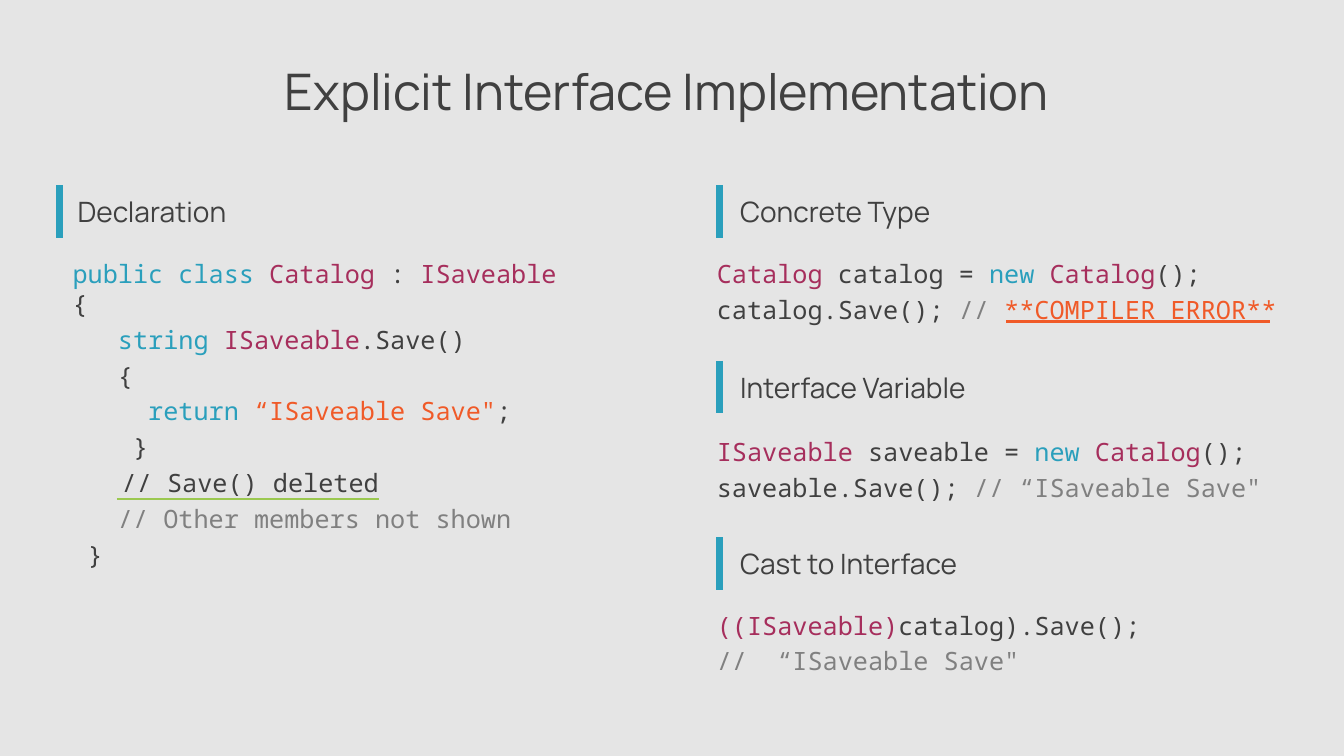
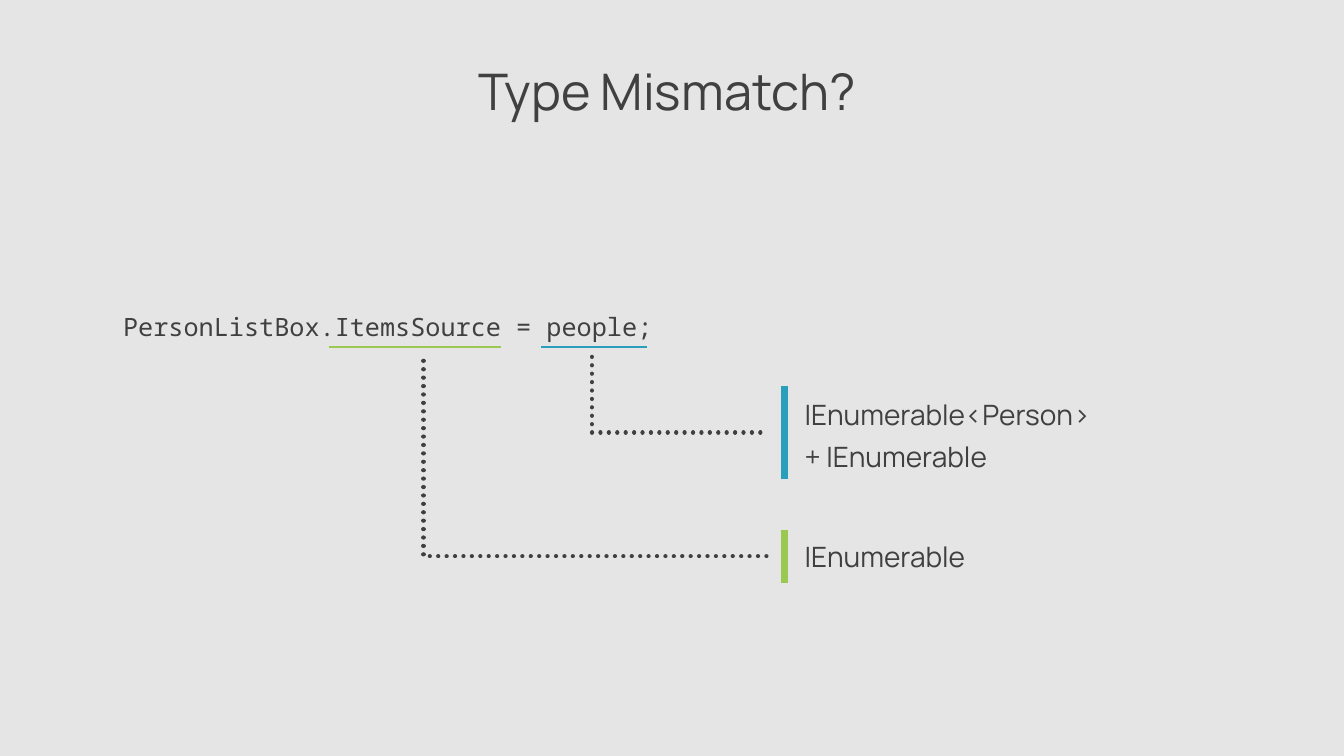
from pptx import Presentation
from pptx.dml.color import RGBColor
from pptx.enum.dml import MSO_LINE as Dash
from pptx.enum.shapes import MSO_CONNECTOR as Link
from pptx.enum.text import MSO_ANCHOR as Anchor, PP_ALIGN as Align
from pptx.oxml.ns import qn
from pptx.util import Inches, Pt
from lxml.etree import SubElement

hue = RGBColor.from_string
DARK, GRAY, BLUE, GREEN = "404040", "808080", "2A9FBC", "9BC850"
PLUM, ORANGE, PAPER = "A62E5C", "F05A28", "E5E5E5"
# Font, size, space before, line spacing
TITLE = ("Manrope", 36, 0, 0.85)
HEAD = ("Manrope", 20, 6, 1.0)
CODE = ("Noto Sans Mono", 18, 4, 1.0)
CHAR = 0.15  # width of one code character

deck = Presentation()
deck.slide_width, deck.slide_height = Inches(13.33), Inches(7.5)
back = deck.slide_master.background.fill
back.solid()
back.fore_color.rgb = hue(PAPER)


def write(slide, box, style, rows, left=0, anchor=Anchor.TOP):
    """Each row is an indent in characters, then (text, colour) runs."""
    name, size, gap, lead = style
    frame = slide.shapes.add_textbox(*map(Inches, box)).text_frame
    frame.word_wrap = True
    frame.vertical_anchor = anchor
    frame.margin_left = Inches(left)
    frame.margin_top = frame.margin_right = frame.margin_bottom = 0
    for i, (dent, *runs) in enumerate(rows):
        para = frame.paragraphs[0] if i == 0 else frame.add_paragraph()
        para.font.name, para.font.size = name, Pt(size)
        para.space_before, para.line_spacing = Pt(gap), lead
        if dent:
            para._p.get_or_add_pPr().set("marL", str(Inches(dent * CHAR)))
        for words, tint in runs:
            run = para.add_run()
            run.text = words
            run.font.color.rgb = hue(tint)
    return frame


def rule(slide, ends, tint, width, kind=Link.STRAIGHT):
    line = slide.shapes.add_connector(kind, *map(Inches, ends))
    line.line.color.rgb = hue(tint)
    line.line.width = Pt(width)
    SubElement(line._element.spPr, qn("a:effectLst"))
    return line


# Slides and titles
pages = []
for words in ("Explicit Interface Implementation", "Type Mismatch?"):
    page = deck.slides.add_slide(deck.slide_layouts[6])
    frame = write(page, (0.77, 0.64, 11.79, 0.48), TITLE, [(0, (words, DARK))])
    frame.margin_top, frame.margin_right = Inches(0.05), Inches(0.1)
    frame.paragraphs[0].alignment = Align.CENTER
    pages.append(page)
first, second = pages

# Slide 1: headings with bars
for words, x, y, bar in (
    ("Declaration", 0.57, 1.84, 0.59),
    ("Concrete Type", 7.14, 1.84, 7.14),
    ("Interface Variable", 7.14, 3.58, 7.14),
    ("Cast to Interface", 7.14, 5.33, 7.14),
):
    write(first, (x, y, 3.5, 0.52), HEAD, [(0, (words, DARK))], 0.2, Anchor.MIDDLE)
    rule(first, (bar, y, bar, y + 0.52), BLUE, 5)

# Slide 1: declaration code
frame = write(first, (0.57, 2.56, 5.98, 4.84), CODE, [
    (1, ("public class ", BLUE), ("Catalog", PLUM), (" : ", DARK), ("ISaveable", PLUM)),
    (1, ("{", DARK)),
    (4, ("string ", BLUE), ("ISaveable", PLUM), (".Save()", DARK)),
    (4, ("{", DARK)),
    (6, ("return ", BLUE), ("“ISaveable Save\"", ORANGE), (";", DARK)),
    (5, ("}", DARK)),
    (4.25, ("// Save() deleted", DARK)),
    (4, ("// Other members not shown", GRAY)),
    (2, ("}", DARK)),
])
frame.paragraphs[1].space_before = Pt(0)

# Slide 1: code for each way to call
for y, rows in (
    (2.56, [
        (0, ("Catalog ", PLUM), ("catalog = ", DARK), ("new ", BLUE),
         ("Catalog", PLUM), ("();", DARK)),
        (0, ("catalog.Save(); ", DARK), ("// ", GRAY), ("**COMPILER ERROR**", ORANGE)),
    ]),
    (4.33, [
        (0, ("ISaveable ", PLUM), ("saveable = ", DARK), ("new ", BLUE),
         ("Catalog", PLUM), ("();", DARK)),
        (0, ("saveable.Save(); ", DARK), ("// “ISaveable Save\"", GRAY)),
    ]),
    (6.05, [
        (0, ("((ISaveable)", PLUM), ("catalog).Save();", DARK)),
        (0, ("//\u00a0 “ISaveable Save\"", GRAY)),
    ]),
):
    write(first, (7.11, y, 5.66, 0.84), CODE, rows)

# Slide 1: underlines
rule(first, (9.98, 3.19, 12.6, 3.19), ORANGE, 2)
rule(first, (1.16, 4.95, 3.76, 4.95), GREEN, 2)

# Slide 2: code line with underlines
write(second, (1.22, 3.09, 5.98, 0.48), CODE,
      [(0, ("PersonListBox.ItemsSource = people;", DARK))])
rule(second, (3.26, 3.44, 4.97, 3.44), GREEN, 1.5)
rule(second, (5.37, 3.44, 6.42, 3.44), BLUE, 1.5)

# Slide 2: type labels with bars
for lines, y, tall, top, end, tint in (
    (("IEnumerable<Person>", "+ IEnumerable"), 3.92, 0.79, 3.83, 4.75, BLUE),
    (("IEnumerable",), 5.26, 0.52, 5.26, 5.78, GREEN),
):
    rows = [(0, (words, DARK)) for words in lines]
    write(second, (7.78, y, 4, tall), HEAD, rows, 0.2, Anchor.MIDDLE)
    rule(second, (7.78, top, 7.78, end), tint, 5)

# Slide 2: dotted elbows, down then right (a turned and flipped bent connector)
for x, y, right, low in ((4.2, 3.58, 7.63, 5.52), (5.87, 3.54, 7.59, 4.29)):
    midx, midy = (x + right) / 2, (y + low) / 2
    wide, tall = (low - y) / 2, (right - x) / 2
    elbow = rule(second, (midx - wide, midy - tall, midx + wide, midy + tall),
                 DARK, 3, Link.ELBOW)
    elbow.line.dash_style = Dash.ROUND_DOT
    elbow.line._get_or_add_ln().set("cap", "rnd")
    props = elbow._element.spPr
    props.find(qn("a:prstGeom")).set("prst", "bentConnector2")
    turn = props.find(qn("a:xfrm"))
    turn.set("rot", "16200000")
    turn.set("flipH", "1")

deck.save("out.pptx")
